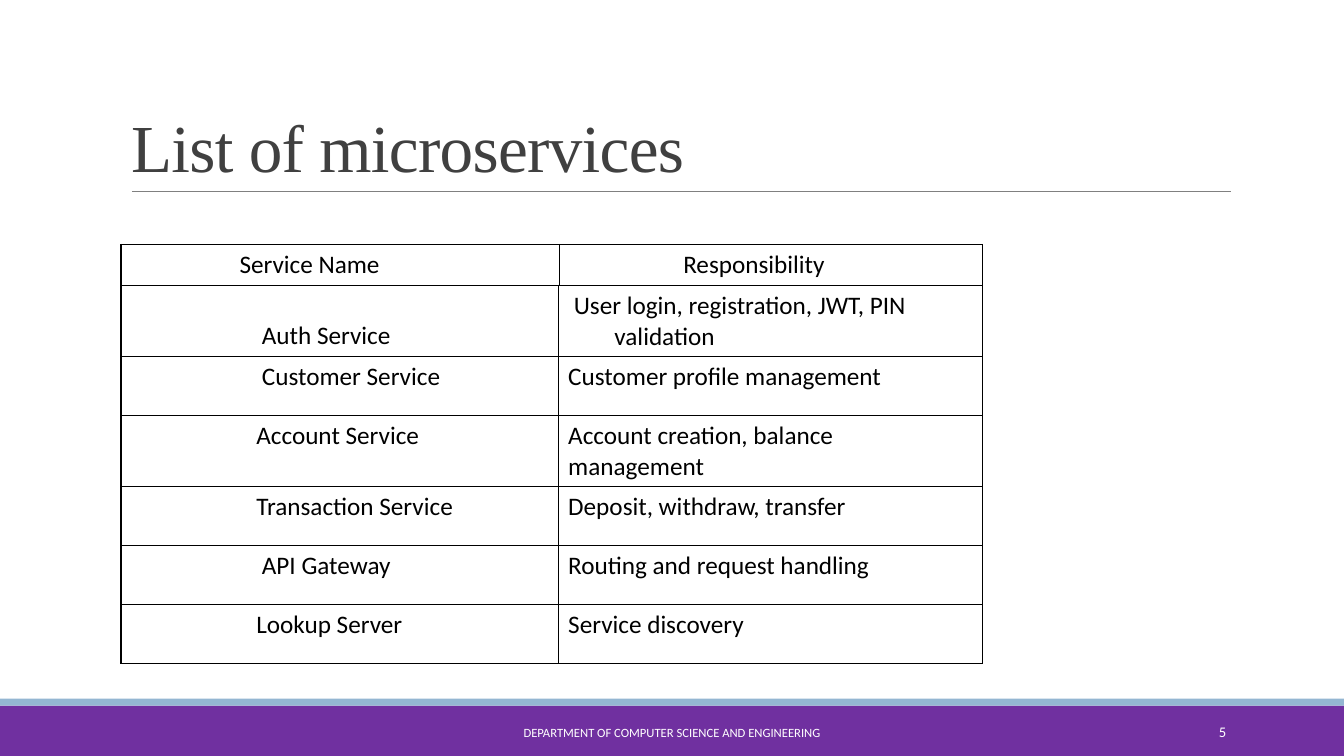
from lxml.etree import SubElement
from pptx import Presentation
from pptx.dml.color import RGBColor
from pptx.enum.shapes import MSO_CONNECTOR, MSO_SHAPE
from pptx.enum.text import MSO_ANCHOR as ANCHOR, PP_ALIGN as ALIGN
from pptx.oxml.ns import qn
from pptx.util import Pt

PURPLE = RGBColor(0x70, 0x30, 0xA0)
BLUE = RGBColor(0x94, 0xB6, 0xD2)
GREY = RGBColor(0x80, 0x80, 0x80)
DARK = RGBColor(0x40, 0x40, 0x40)
WHITE = RGBColor(0xFF, 0xFF, 0xFF)
BLACK = RGBColor(0, 0, 0)

HEADER = [("Service Name", "Responsibility")]
SERVICES = [
    ("Auth Service", "User login, registration, JWT, PIN validation"),
    ("Customer Service", "Customer profile management"),
    ("Account Service", "Account creation, balance management"),
    ("Transaction Service", "Deposit, withdraw, transfer"),
    ("API Gateway", "Routing and request handling"),
    ("Lookup Server", "Service discovery"),
]


def style_text(p, size, color, font="Calibri", align=ALIGN.LEFT):
    p.alignment = align
    p.font.size = Pt(size)
    p.font.name = font
    p.font.color.rgb = color


def add_grid(s, top, widths, heights, rows, indents):
    frame = s.shapes.add_table(len(rows), 2, Pt(86.4), Pt(top), Pt(sum(widths)), Pt(sum(heights)))
    table = frame.table
    table.first_row = table.horz_banding = False
    for col, width in zip(table.columns, widths):
        col.width = Pt(width)
    for i, row in enumerate(rows):
        table.rows[i].height = Pt(heights[i])
        for j, text in enumerate(row):
            cell = table.cell(i, j)
            cell.text = text
            cell.margin_left = Pt(7.2 + indents[i][j])
            style_text(cell.text_frame.paragraphs[0], 18, BLACK)
            tcPr = cell._tc.get_or_add_tcPr()
            for side in ("lnL", "lnR", "lnT", "lnB"):
                ln = SubElement(tcPr, qn("a:" + side), w=str(Pt(1)))
                fill = SubElement(ln, qn("a:solidFill"))
                SubElement(fill, qn("a:srgbClr"), val=str(BLACK))
            cell.fill.background()
    return table


prs = Presentation()
prs.slide_width, prs.slide_height = Pt(960), Pt(540)
s = prs.slides.add_slide(prs.slide_layouts[5])

for top, height, color in ((504, 36, PURPLE), (499, 5, BLUE)):
    sp = s.shapes.add_shape(MSO_SHAPE.RECTANGLE, 0, Pt(top), Pt(960), Pt(height))
    sp.shadow.inherit = False
    sp.fill.solid()
    sp.fill.fore_color.rgb = color
    sp.line.fill.background()

rule = s.shapes.add_connector(MSO_CONNECTOR.STRAIGHT, Pt(94.3), Pt(136.8), Pt(879), Pt(136.8))
rule.line.color.rgb = GREY
rule.line.width = Pt(0.5)
SubElement(rule._element.spPr, qn("a:effectLst"))

title = s.shapes.title
title.left, title.top, title.width, title.height = Pt(86.4), Pt(22.3), Pt(792), Pt(114.5)
tf = title.text_frame
tf.text = "List of microservices"
tf.vertical_anchor = ANCHOR.BOTTOM
p = tf.paragraphs[0]
p.line_spacing = 0.85
style_text(p, 48, DARK, "Times New Roman")
p.runs[0].font._element.set("spc", "-50")

for text, left, width, size, align in (
    ("DEPARTMENT OF COMPUTER SCIENCE AND ENGINEERING", 290.2, 379.4, 9, ALIGN.CENTER),
    ("5", 780, 103, 10.5, ALIGN.RIGHT),
):
    tf = s.shapes.add_textbox(Pt(left), Pt(508.5), Pt(width), Pt(28.8)).text_frame
    tf.word_wrap = True
    tf.vertical_anchor = ANCHOR.MIDDLE
    tf.text = text
    style_text(tf.paragraphs[0], size, WHITE, align=align)

indents = [(93.5 if name in ("Auth Service", "Customer Service", "API Gateway") else 89.5, 0)
           for name, _ in SERVICES]
services = add_grid(s, 203.8, (312.3, 303), (51, 42, 51, 42, 42, 42), SERVICES, indents)
services.cell(0, 0).vertical_anchor = ANCHOR.BOTTOM
pPr = services.cell(0, 1).text_frame.paragraphs[0]._p.get_or_add_pPr()
pPr.set("marL", str(Pt(33)))
pPr.set("indent", str(Pt(-29)))
add_grid(s, 174.7, (313, 302.3), (29.2,), HEADER, [(77.5, 81.5)])

prs.save("out.pptx")
